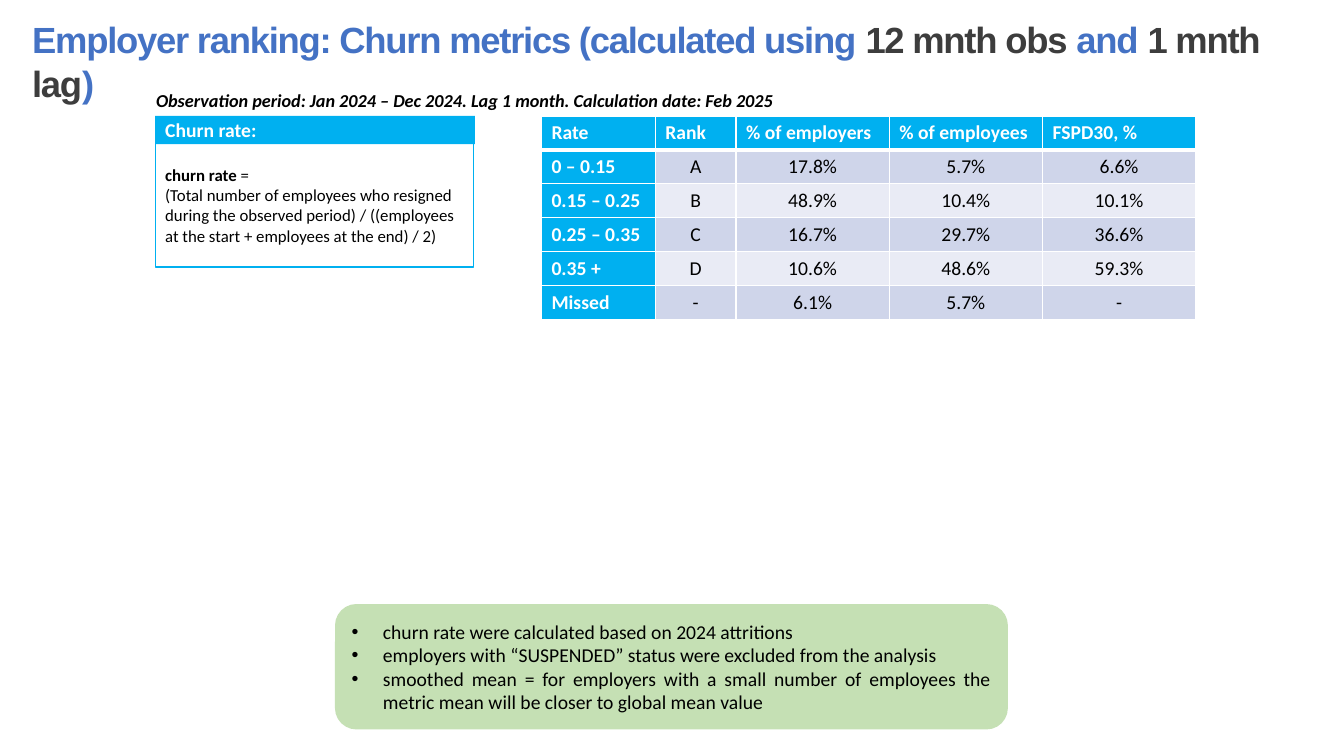
from pptx import Presentation
from pptx.dml.color import RGBColor
from pptx.enum.shapes import MSO_SHAPE
from pptx.enum.text import MSO_ANCHOR, PP_ALIGN
from pptx.oxml.ns import qn
from pptx.util import Inches, Pt
from lxml.etree import SubElement

CYAN, BLUE, DARK = "00B0F0", "4472C4", "3D3D3D"
GREEN, WHITE, BLACK = "C5E0B4", "FFFFFF", "000000"
BANDS = ("CFD5EA", "E9EBF5")


def color(value):
    return RGBColor.from_string(value)


class SlideBuilder:
    def __init__(self, page, family="Calibri"):
        self.page = page
        self.family = family

    def style(self, para, size, ink=BLACK, bold=False, italic=False, family=None):
        font = para.font
        font.name, font.size = family or self.family, Pt(size)
        font.bold, font.italic = bold, italic
        font.color.rgb = color(ink)

    def text(self, left, top, width, height, spans, size, family=None, spacing=0, **look):
        """Spans are (text, colour) pairs on one paragraph."""
        box = self.page.shapes.add_textbox(
            Inches(left), Inches(top), Inches(width), Inches(height))
        box.text_frame.word_wrap = True
        para = box.text_frame.paragraphs[0]
        self.style(para, size, family=family, **look)
        for words, ink in spans:
            span = para.add_run()
            span.text = words
            span.font.color.rgb = color(ink)
            if spacing:
                span.font._element.set("spc", str(round(spacing * 100)))

    def panel(self, kind, left, top, width, height, fill=None, line=None):
        box = self.page.shapes.add_shape(
            kind, Inches(left), Inches(top), Inches(width), Inches(height))
        box.shadow.inherit = False
        if fill:
            box.fill.solid()
            box.fill.fore_color.rgb = color(fill)
        else:
            box.fill.background()
        if line:
            box.line.color.rgb = color(line)
            box.line.width = Pt(1)
        else:
            box.line.fill.background()
        box.text_frame.word_wrap = True
        box.text_frame.vertical_anchor = MSO_ANCHOR.MIDDLE
        return box.text_frame

    def paragraph(self, frame, words, size, first=False, align=PP_ALIGN.LEFT,
                  bullet=False, **look):
        para = frame.paragraphs[0] if first else frame.add_paragraph()
        para.alignment = align
        if bullet:
            props = para._p.get_or_add_pPr()
            props.set("marL", str(Inches(0.31)))
            props.set("indent", str(Inches(-0.31)))
            SubElement(props, qn("a:buFont"), typeface="Arial")
            SubElement(props, qn("a:buChar"), char="•")
        self.style(para, size, **look)
        if words:
            para.add_run().text = words
        return para

    def borders(self, cell, bottom):
        props = cell._tc.get_or_add_tcPr()
        for side, width in (("L", 1), ("R", 1), ("T", 1), ("B", bottom)):
            line = SubElement(props, qn(f"a:ln{side}"), w=str(Pt(width)))
            fill = SubElement(line, qn("a:solidFill"))
            SubElement(fill, qn("a:srgbClr"), val=WHITE)

    def table(self, left, top, height, widths, rows, size):
        grid = self.page.shapes.add_table(
            len(rows), len(widths), Inches(left), Inches(top),
            Inches(sum(widths)), Inches(height)).table
        for column, width in zip(grid.columns, widths):
            column.width = Inches(width)
        for r, row in enumerate(rows):
            for c, words in enumerate(row):
                cell = grid.cell(r, c)
                heading = r == 0 or c == 0
                self.borders(cell, 3 if r == 0 else 1)
                cell.fill.solid()
                cell.fill.fore_color.rgb = color(CYAN if heading else BANDS[(r - 1) % 2])
                self.paragraph(cell.text_frame, words, size, first=True, bold=heading,
                               align=PP_ALIGN.LEFT if heading else PP_ALIGN.CENTER,
                               ink=WHITE if heading else BLACK)


def main():
    deck = Presentation()
    deck.slide_width, deck.slide_height = Inches(13.33), Inches(7.5)
    slide = SlideBuilder(deck.slides.add_slide(deck.slide_layouts[6]))

    # Notes on the method
    notes = slide.panel(MSO_SHAPE.ROUNDED_RECTANGLE, 3.33, 6, 6.66, 1.23, GREEN, GREEN)
    for i, note in enumerate((
            "churn rate were calculated based on 2024 attritions",
            "employers with “SUSPENDED” status were excluded from the analysis",
            "smoothed mean = for employers with a small number of employees "
            "the metric mean will be closer to global mean value")):
        slide.paragraph(notes, note, 14, first=i == 0, bullet=True,
                        align=PP_ALIGN.JUSTIFY if i else PP_ALIGN.LEFT)

    # Churn rate definition
    heading = slide.panel(MSO_SHAPE.RECTANGLE, 1.54, 1.15, 3.17, 0.28, CYAN)
    slide.paragraph(heading, "Churn rate:", 14, first=True, ink=WHITE, bold=True)
    formula = slide.panel(MSO_SHAPE.RECTANGLE, 1.54, 1.42, 3.16, 1.23, line=CYAN)
    term = slide.paragraph(formula, "", 12, first=True)
    for words, bold in (("churn rate ", True), ("=", False)):
        span = term.add_run()
        span.text, span.font.bold = words, bold
    slide.paragraph(formula, "(Total number of employees who resigned during the observed "
                    "period) / ((employees at the start + employees at the end) / 2)", 12)

    # Ranking table
    slide.table(5.37, 1.15, 2, (1.13, 0.8, 1.52, 1.52, 1.52), (
        ("Rate", "Rank", "% of employers", "% of employees", "FSPD30, %"),
        ("0 – 0.15", "A", "17.8%", "5.7%", "6.6%"),
        ("0.15 – 0.25", "B", "48.9%", "10.4%", "10.1%"),
        ("0.25 – 0.35", "C", "16.7%", "29.7%", "36.6%"),
        ("0.35 +", "D", "10.6%", "48.6%", "59.3%"),
        ("Missed", "-", "6.1%", "5.7%", "-")), 14)

    # Period and title
    slide.text(1.45, 0.84, 6.86, 0.32, (
        ("Observation period: Jan 2024 – Dec 2024. Lag 1 month. "
         "Calculation date: Feb 2025", BLACK),), 13, bold=True, italic=True)
    slide.text(0.22, 0.12, 12.85, 0.54, (
        ("Employer ranking: Churn metrics (calculated using ", BLUE),
        ("12 mnth obs", DARK), (" and ", BLUE), ("1 mnth lag", DARK), (")", BLUE)),
        26, family="Arial", spacing=-0.9, bold=True)

    deck.save("out.pptx")


if __name__ == "__main__":
    main()
